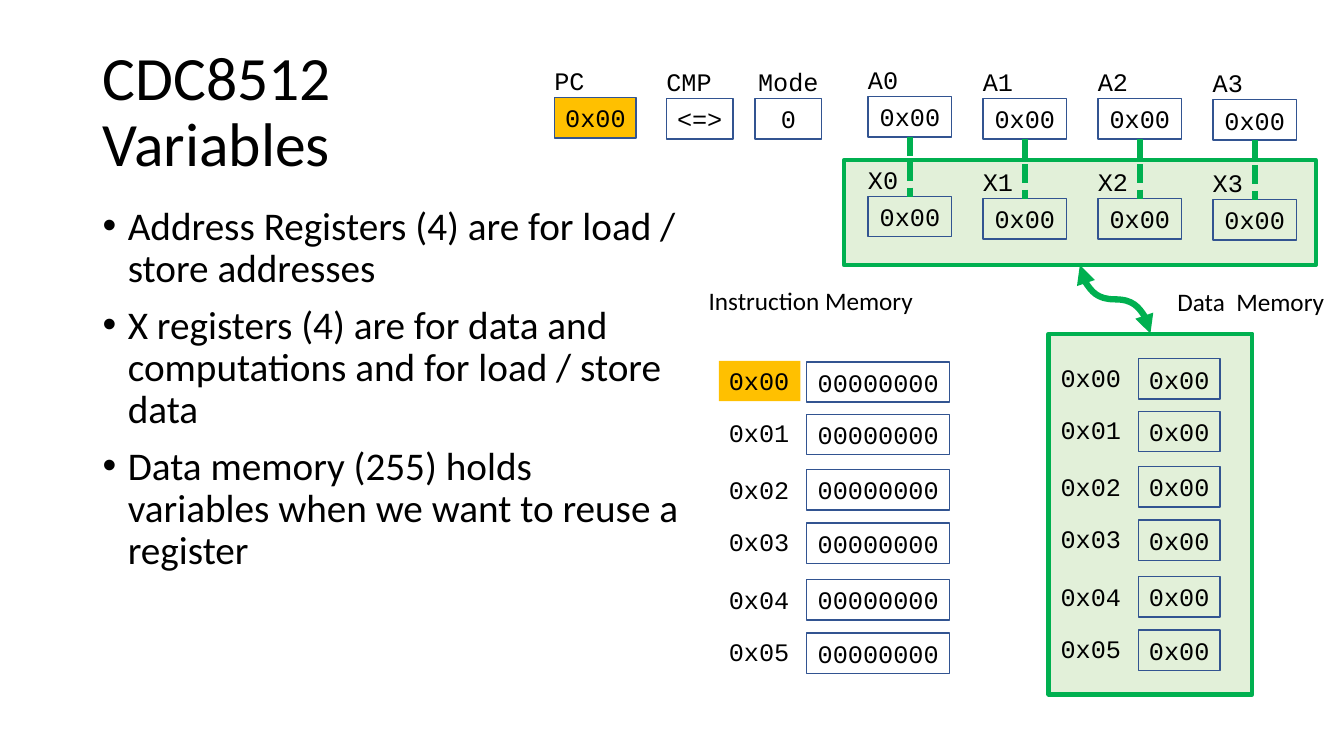
from lxml.etree import SubElement
from pptx import Presentation
from pptx.dml.color import RGBColor
from pptx.enum.dml import MSO_LINE
from pptx.enum.shapes import MSO_CONNECTOR, MSO_SHAPE
from pptx.enum.text import MSO_ANCHOR, PP_ALIGN
from pptx.oxml.ns import qn
from pptx.util import Inches, Pt

# Content
TITLE = "CDC8512 Variables"
POINTS = [
    "Address Registers (4) are for load / store addresses",
    "X registers (4) are for data and computations and for load / store data",
    "Data memory (255) holds variables when we want to reuse a register",
]
ZERO = "0x00"
CODES = ["0x00", "0x01", "0x02", "0x03", "0x04", "0x05"]
WORD = "00000000"

# Layout, in inches
HIGH = 0.4
REGS = [0.96, 0.98, 0.98, 0.99]  # tops of A0 to A3
ROWS = [(3.59, 3.58), (4.11, 4.09), (4.66, 4.66),
        (5.19, 5.17), (5.75, 5.75), (6.28, 6.26)]  # cell top, label top

BLACK = RGBColor(0, 0, 0)
BLUE = RGBColor(0x32, 0x54, 0x91)
GREEN = RGBColor(0x00, 0xB0, 0x50)
PALE = RGBColor(0xE2, 0xF0, 0xD9)
GOLD = RGBColor(0xFF, 0xC0, 0x00)
MONO, SANS = "Courier New", "Calibri"

deck = Presentation()
deck.slide_width, deck.slide_height = Inches(13.33), Inches(7.5)
slide = deck.slides.add_slide(deck.slide_layouts[6])
shapes = slide.shapes


def write(para, text, size=18, face=MONO):
    run = para.add_run()
    run.text = text
    run.font.size, run.font.name = Pt(size), face
    run.font.color.rgb = BLACK


def rect(x, y, w, h, fill=None, line=BLUE, thick=1):
    box = shapes.add_shape(MSO_SHAPE.RECTANGLE,
                           Inches(x), Inches(y), Inches(w), Inches(h))
    box.shadow.inherit = False
    if fill is None:
        box.fill.background()
    else:
        box.fill.solid()
        box.fill.fore_color.rgb = fill
    box.line.color.rgb, box.line.width = line, Pt(thick)
    return box


def cell(x, y, w, text, fill=None):
    box = rect(x, y, w, HIGH, fill)
    frame = box.text_frame
    frame.word_wrap, frame.vertical_anchor = True, MSO_ANCHOR.MIDDLE
    para = frame.paragraphs[0]
    para.alignment = PP_ALIGN.CENTER
    write(para, text)
    return box


def area(x, y, w, h, wrap=True):
    box = shapes.add_textbox(Inches(x), Inches(y), Inches(w), Inches(h))
    box.text_frame.word_wrap = wrap
    return box


def label(x, y, text, wide=None, face=MONO):
    box = area(x, y, wide or 0.2 + 0.15 * len(text), HIGH, False)
    write(box.text_frame.paragraphs[0], text, face=face)
    return box


def wire(kind, x1, y1, x2, y2):
    link = shapes.add_connector(kind, Inches(x1), Inches(y1),
                                Inches(x2), Inches(y2))
    link.line.color.rgb, link.line.width = GREEN, Pt(4.5)
    SubElement(link._element.spPr, qn("a:effectLst"))
    return link


# Green panels
rect(10.4, 3.31, 2.02, 3.58, PALE, GREEN, 3)
rect(8.37, 1.59, 4.68, 1.04, PALE, GREEN, 3)

# Title and points
frame = area(0.92, 0.4, 4.29, 1.45).text_frame
frame.vertical_anchor = MSO_ANCHOR.MIDDLE
frame.paragraphs[0].line_spacing = 0.9
write(frame.paragraphs[0], TITLE, 44, SANS)

frame = area(0.92, 2, 5.94, 4.76).text_frame
for i, text in enumerate(POINTS):
    para = frame.add_paragraph() if i else frame.paragraphs[0]
    para.line_spacing = 0.9
    if i:
        para.space_before = Pt(10)
    props = para._p.get_or_add_pPr()
    props.set("marL", str(Inches(0.25)))
    props.set("indent", str(Inches(-0.25)))
    SubElement(props, qn("a:buFont")).set("typeface", "Arial")
    SubElement(props, qn("a:buChar")).set("char", "•")
    write(para, text, 28, SANS)

# Control registers: name, left, top, width, value, fill, label left
for name, x, y, w, text, fill, left in [
    ("PC", 5.5, 0.97, 0.81, ZERO, GOLD, 5.4),
    ("CMP", 6.61, 0.98, 0.66, "<=>", None, 6.51),
    ("Mode", 7.49, 0.98, 0.66, "0", None, 7.42),
]:
    cell(x, y, w, text, fill)
    label(left, y - 0.37, name)

# Address registers, each tied to its X register
for i, top in enumerate(REGS):
    x = 8.61 + 1.14 * i
    pair = []
    for kind, y in (("A", top), ("X", top + 0.99)):
        pair.append(cell(x, y, 0.83, ZERO))
        label(x - 0.1, y - 0.37, f"{kind}{i}")
    mid = x + 0.415
    link = wire(MSO_CONNECTOR.STRAIGHT, mid, top + HIGH, mid, top + 0.99)
    link.line.dash_style = MSO_LINE.SQUARE_DOT
    link.begin_connect(pair[0], 2)
    link.end_connect(pair[1], 0)

# Instruction and data memory
label(6.93, 2.78, "Instruction Memory", 2.25, SANS)
label(11.58, 2.79, "Data  Memory", 1.67, SANS)
for x, left, drop, w, text in [
    (8, 7.13, 0, 1.42, WORD),
    (11.29, 10.42, -0.03, 0.81, ZERO),
]:
    for code, (y, tag) in zip(CODES, ROWS):
        cell(x, y + drop, w, text)
        mark = label(left, tag + drop, code, 0.81)
        if text == WORD and code == ZERO:
            mark.fill.solid()
            mark.fill.fore_color.rgb = GOLD

# Curved arrow between X registers and data memory
curve = wire(MSO_CONNECTOR.CURVE, 10.72, 3.32, 11.4, 2.62)
curve._element.spPr.find(qn("a:xfrm")).set("rot", str(270 * 60000))
for end in ("a:headEnd", "a:tailEnd"):
    SubElement(curve.line._get_or_add_ln(), qn(end)).set("type", "triangle")

deck.save("out.pptx")
